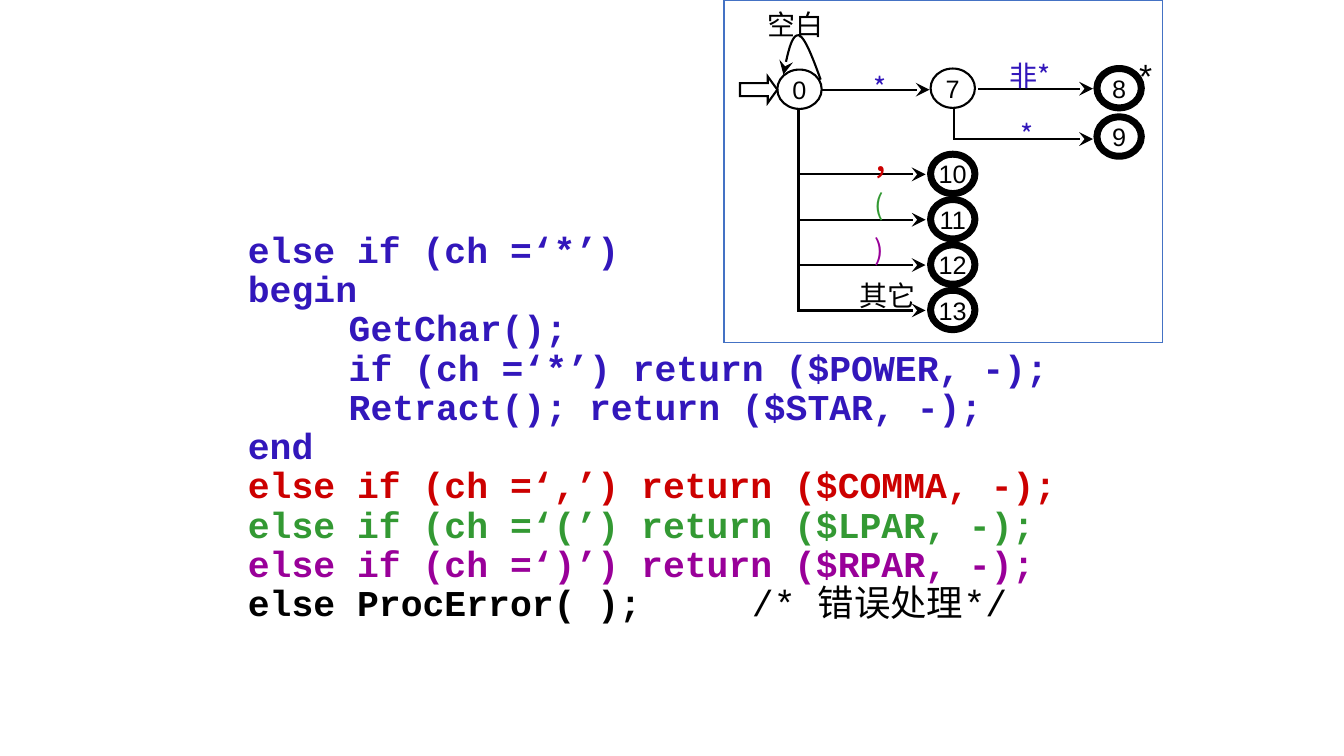
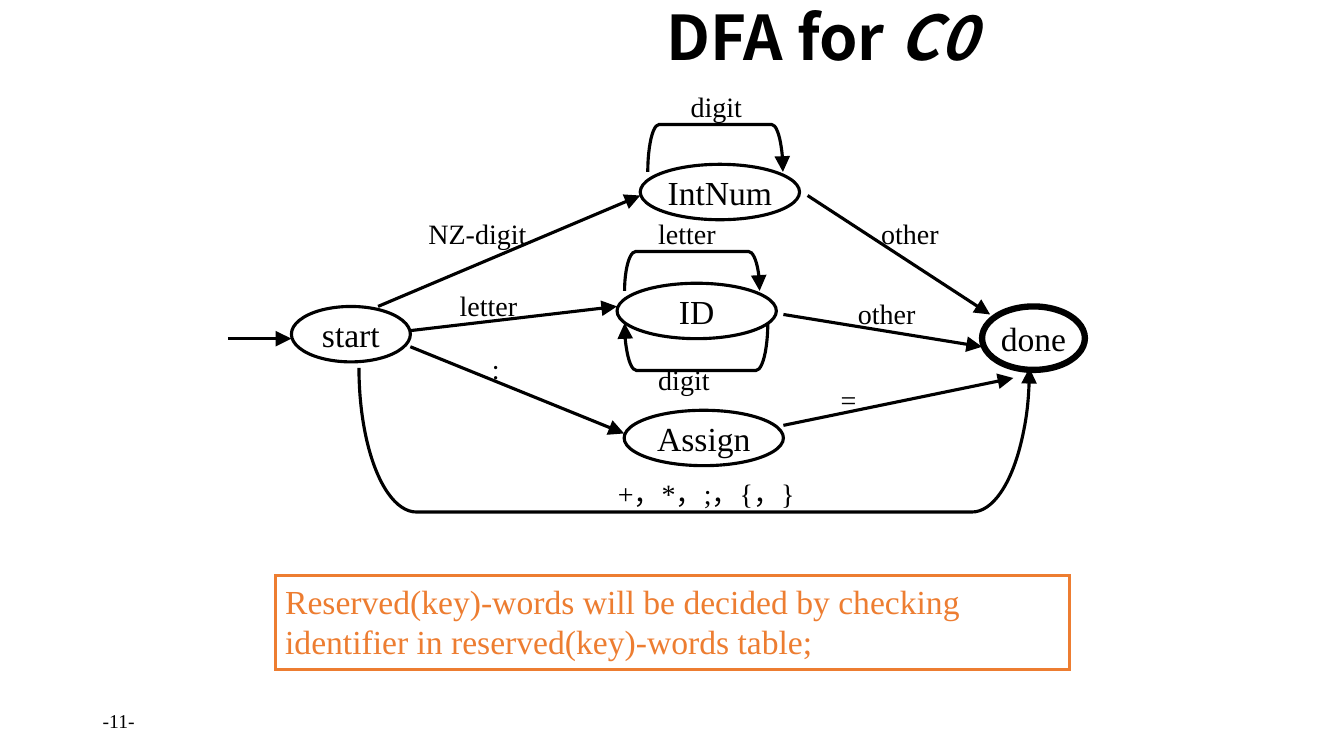
import lxml.etree
import pptx
import pptx.dml.color
import pptx.enum.shapes
import pptx.enum.text
import pptx.oxml
import pptx.oxml.ns
import pptx.util

Inches = pptx.util.Inches
Pt = pptx.util.Pt
RGBColor = pptx.dml.color.RGBColor
Shape = pptx.enum.shapes.MSO_SHAPE
Align = pptx.enum.text.PP_ALIGN
Anchor = pptx.enum.text.MSO_ANCHOR

BLACK = RGBColor(0x00, 0x00, 0x00)
WHITE = RGBColor(0xFF, 0xFF, 0xFF)
INDIGO = RGBColor(0x32, 0x17, 0xBB)
RED = RGBColor(0xCC, 0x00, 0x00)
GREEN = RGBColor(0x33, 0x99, 0x33)
PURPLE = RGBColor(0x99, 0x00, 0x99)
BLUE = RGBColor(0x44, 0x72, 0xC4)
ORANGE = RGBColor(0xED, 0x7D, 0x31)

CJK = "Noto Sans CJK SC"
SERIF = "Times New Roman"
CODE = {"name": "Courier New", "size": Pt(26), "bold": True}
COMMENT = {**CODE, "bold": False}
TITLE = {"name": CJK, "size": Pt(44), "bold": True}
STATE = {"name": "Arial", "size": Pt(18)}
SYMBOL = {"name": CJK, "size": Pt(20)}
LARGE_SYMBOL = {"name": CJK, "size": Pt(28)}
RETRACT = {"name": "Arial", "size": Pt(24)}
NODE = {"name": SERIF, "size": Pt(24)}
EDGE = {"name": SERIF, "size": Pt(20)}
PAGE_NUMBER = {"name": SERIF, "size": Pt(14)}

THIN, MEDIUM, BOLD, HEAVY = 1.5, 2.25, 4.5, 5


def inches(values):
    """Convert numbers to lengths."""
    return [Inches(value) for value in values]


def append_element(parent, tag, **attributes):
    """Append a drawing element to a parent element and return it."""
    return lxml.etree.SubElement(parent, pptx.oxml.ns.qn(tag), **attributes)


def add_run(paragraph, text, font, color=BLACK):
    """Add a formatted run, with a matching font for Chinese characters."""
    run = paragraph.add_run()
    run.text = text
    for name, value in font.items():
        setattr(run.font, name, value)
    run.font.color.rgb = color
    append_element(run.font._element, "a:ea", typeface=CJK)


def set_frame(shape, wrap=True, anchor=Anchor.TOP):
    """Set wrapping and anchor of a shape's text and return its frame."""
    frame = shape.text_frame
    for name, value in {"word_wrap": wrap, "vertical_anchor": anchor}.items():
        setattr(frame, name, value)
    return frame


def add_label(slide, box, text, font, color=BLACK, align=Align.LEFT, **frame_format):
    """Add a text box with one paragraph and return the paragraph."""
    text_box = slide.shapes.add_textbox(*inches(box))
    paragraph = set_frame(text_box, **frame_format).paragraphs[0]
    paragraph.alignment = align
    add_run(paragraph, text, font, color)
    return paragraph


def style_outline(shape, width, color=BLACK, fill=None):
    """Give a shape a sharp-cornered line, an optional fill and no shadow."""
    shape.shadow.inherit = False
    shape.line.color.rgb = color
    shape.line.width = Pt(width)
    append_element(shape.line._get_or_add_ln(), "a:miter", lim="800000")
    if fill is None:
        shape.fill.background()
    else:
        shape.fill.solid()
        shape.fill.fore_color.rgb = fill


def add_arrowhead(shape, kind, end="a:tailEnd"):
    """Put a large arrowhead on one end of a line."""
    append_element(shape.line._get_or_add_ln(), end, type=kind, w="lg", len="lg")


def add_outline(slide, preset, box, width, color=BLACK, fill=None):
    """Add an outlined preset shape."""
    shape = slide.shapes.add_shape(preset, *inches(box))
    style_outline(shape, width, color, fill)
    return shape


def add_state(slide, box, text, width, font):
    """Add an ellipse with a centred name."""
    state = add_outline(slide, Shape.OVAL, box, width)
    paragraph = set_frame(state, False, Anchor.MIDDLE).paragraphs[0]
    paragraph.alignment = Align.CENTER
    add_run(paragraph, text, font)


def add_arrow(slide, start, end, width, kind):
    """Add a straight arrow."""
    arrow = slide.shapes.add_connector(
        pptx.enum.shapes.MSO_CONNECTOR.STRAIGHT, *inches(start + end))
    arrow.line.color.rgb = BLACK
    arrow.line.width = Pt(width)
    add_arrowhead(arrow, kind)
    append_element(arrow._element.spPr, "a:effectLst")


def add_path_arrow(slide, points):
    """Add an open arrow through a list of points."""
    start, *others = [inches(point) for point in points]
    builder = slide.shapes.build_freeform(*start)
    builder.add_line_segments(others, close=False)
    path_arrow = builder.convert_to_shape()
    style_outline(path_arrow, THIN)
    add_arrowhead(path_arrow, "stealth")


def curve_points(start, first, second, end, steps=12):
    """Return points along a cubic curve, without its start."""
    points = []
    for step in range(1, steps + 1):
        t = step / steps
        weights = ((1 - t) ** 3, 3 * t * (1 - t) ** 2, 3 * t ** 2 * (1 - t), t ** 3)
        points.append([sum(weight * value for weight, value in zip(weights, axis))
                       for axis in zip(start, first, second, end)])
    return points


def add_bracket(slide, preset, box, rotation, roundness, end="a:tailEnd"):
    """Add a turned bracket with an arrowhead."""
    bracket = add_outline(slide, preset, box, MEDIUM)
    bracket.rotation = rotation
    bracket.adjustments[0] = roundness
    add_arrowhead(bracket, "triangle", end)


def add_tab_stops(paragraph, positions):
    """Set left tab stops on a paragraph."""
    tab_list = append_element(paragraph._p.get_or_add_pPr(), "a:tabLst")
    for position in inches(positions):
        append_element(tab_list, "a:tab", pos=str(position), algn="l")


def add_code(slide):
    """Add the scanner code, one paragraph a line."""
    lines = [
        ("else if (ch =‘*’)", INDIGO),
        ("begin", INDIGO),
        ("\tGetChar();", INDIGO),
        ("\tif (ch =‘*’) return ($POWER, -);", INDIGO),
        ("\tRetract(); return ($STAR, -);", INDIGO),
        ("end", INDIGO),
        ("else if (ch =‘,’) return ($COMMA, -);", RED),
        ("else if (ch =‘(’) return ($LPAR, -);", GREEN),
        ("else if (ch =‘)’) return ($RPAR, -);", PURPLE),
        ("else ProcError( );\t\t", BLACK),
    ]
    text_box = slide.shapes.add_textbox(*inches((2.36, 2.25, 8.62, 4.76)))
    frame = set_frame(text_box)
    for index, (text, color) in enumerate(lines):
        paragraph = frame.add_paragraph() if index else frame.paragraphs[0]
        for name, value in {"alignment": Align.JUSTIFY, "line_spacing": 0.9}.items():
            setattr(paragraph, name, value)
        add_tab_stops(paragraph, range(1, 6))
        add_run(paragraph, text, CODE, color)
    add_run(paragraph, "/* 错误处理*/", COMMENT)


def add_transition_diagram(slide):
    """Add the framed transition diagram."""
    add_outline(slide, Shape.RECTANGLE, (7.18, 0, 4.35, 3.4), 1, BLUE, WHITE)
    entry = add_outline(slide, Shape.RIGHT_ARROW, (7.34, 0.76, 0.37, 0.26), THIN)
    entry.adjustments[1] = 0.364

    loop_start, loop_top, loop_end = (8.14, 0.79), (7.92, 0.35), (7.77, 0.74)
    add_path_arrow(slide, [
        loop_start,
        *curve_points(loop_start, (8.06, 0.57), (7.98, 0.36), loop_top),
        *curve_points(loop_top, (7.85, 0.34), (7.81, 0.54), loop_end)])
    for left, top, name, width in [
            (7.71, 0.69, "0", THIN), (9.23, 0.68, "7", THIN),
            (10.88, 0.68, "8", HEAVY), (10.88, 1.16, "9", HEAVY)]:
        add_state(slide, (left, top, 0.44, 0.39), name, width, STATE)
    add_arrow(slide, (8.15, 0.89), (9.22, 0.89), THIN, "stealth")
    add_arrow(slide, (9.7, 0.88), (10.84, 0.88), THIN, "stealth")
    add_path_arrow(slide, [(9.46, 1.08), (9.46, 1.38), (10.84, 1.38)])

    trunk, first_row, pitch = 7.92, 1.73, 0.45
    branch_top = 1.08
    for row in range(4):
        middle = first_row + row * pitch
        add_state(slide, (9.23, middle - 0.2, 0.44, 0.39), str(10 + row), HEAVY, STATE)
        add_path_arrow(slide, [(trunk, branch_top), (trunk, middle), (9.18, middle)])
        branch_top = middle

    for box, text, font, color in [
            ((7.51, 0.03, 0.76, 0.43), "空白", SYMBOL, BLACK),
            ((8.57, 0.65, 0.33, 0.43), "*", SYMBOL, INDIGO),
            ((10.02, 1.12, 0.33, 0.43), "*", SYMBOL, INDIGO),
            ((11.2, 0.5, 0.33, 0.5), "*", RETRACT, BLACK),
            ((8.59, 1.26, 0.3, 0.57), ",", LARGE_SYMBOL, RED),
            ((8.57, 1.81, 0.29, 0.43), "(", SYMBOL, GREEN),
            ((8.57, 2.26, 0.29, 0.43), ")", SYMBOL, PURPLE),
            ((8.43, 2.71, 0.76, 0.43), "其它", SYMBOL, BLACK)]:
        add_label(slide, box, text, font, color, wrap=False)
    add_label(slide, (9.91, 0.53, 0.61, 0.43), "非*", SYMBOL, INDIGO)


def add_automaton(slide):
    """Add the states, transitions and labels of the automaton."""
    for box, name, width in [
            ((2.89, 3.04, 1.18, 0.55), "start", MEDIUM),
            ((9.74, 3.04, 1.02, 0.63), "done", BOLD),
            ((6.35, 1.63, 1.58, 0.55), "IntNum", MEDIUM),
            ((6.12, 2.81, 1.58, 0.55), "ID", MEDIUM),
            ((6.19, 4.07, 1.58, 0.55), "Assign", MEDIUM)]:
        add_state(slide, box, name, width, NODE)
    for start, end in [
            ((2.26, 3.36), (2.89, 3.36)),
            ((3.75, 3.04), (6.35, 1.94)), ((8.01, 1.94), (9.82, 3.12)),
            ((4.07, 3.28), (6.12, 3.04)), ((7.77, 3.12), (9.74, 3.44)),
            ((4.07, 3.44), (6.19, 4.3)), ((7.77, 4.22), (10.05, 3.75))]:
        add_arrow(slide, start, end, MEDIUM, "triangle")

    right, left = Shape.RIGHT_BRACKET, Shape.LEFT_BRACKET
    add_bracket(slide, right, (6.86, 0.8, 0.47, 1.34), 270, 0.237)
    add_bracket(slide, right, (6.67, 2.02, 0.39, 1.34), 270, 0.283)
    add_bracket(slide, left, (6.67, 2.73, 0.47, 1.42), 270, 0.249)
    add_bracket(slide, right, (6.17, 1.04, 1.43, 6.65), 90, 0.399, "a:headEnd")

    for x, y, width, text, align in [
            (4.15, 2.1, 1.81, "NZ-digit", Align.LEFT),
            (6.67, 0.84, 0.87, "digit", Align.CENTER),
            (8.01, 2.89, 1.57, "other", Align.CENTER),
            (8.24, 2.1, 1.57, "other", Align.CENTER),
            (4.78, 3.44, 0.55, ":", Align.LEFT),
            (8.24, 3.75, 0.55, "=", Align.LEFT),
            (4.46, 2.81, 1.02, "letter", Align.LEFT),
            (6.43, 2.1, 1.02, "letter", Align.LEFT),
            (6.43, 3.55, 1.02, "digit", Align.LEFT),
            (5.96, 4.68, 2.42, " +，*，;，{，}", Align.LEFT)]:
        add_label(slide, (x, y, width, 0.43), text, EDGE, align=align)


def add_note(slide):
    """Add the framed remark on reserved words."""
    note = add_outline(slide, Shape.RECTANGLE, (2.73, 5.71, 7.88, 0.93), 2, ORANGE)
    paragraph = set_frame(note).paragraphs[0]
    paragraph.alignment = Align.LEFT
    add_run(paragraph, "Reserved(key)-words will be decided by checking "
            "identifier in reserved(key)-words table;", NODE, ORANGE)


def main():
    """Build and save the presentation."""
    presentation = pptx.Presentation()
    presentation.slide_width = Inches(13.33)
    presentation.slide_height = Inches(7.5)
    blank = presentation.slide_layouts[6]

    code_slide = presentation.slides.add_slide(blank)
    add_code(code_slide)
    add_transition_diagram(code_slide)

    automaton_slide = presentation.slides.add_slide(blank)
    add_label(automaton_slide, (0.92, 6.95, 3, 0.4), "-11-", PAGE_NUMBER,
              anchor=Anchor.MIDDLE)
    title = add_label(automaton_slide, (6.51, 0, 3.33, 0.8), "DFA for ", TITLE,
                      wrap=False, anchor=Anchor.MIDDLE)
    title.line_spacing = 0.9
    add_run(title, "C0", {**TITLE, "italic": True})
    add_automaton(automaton_slide)
    add_note(automaton_slide)

    presentation.save("out.pptx")


main()
